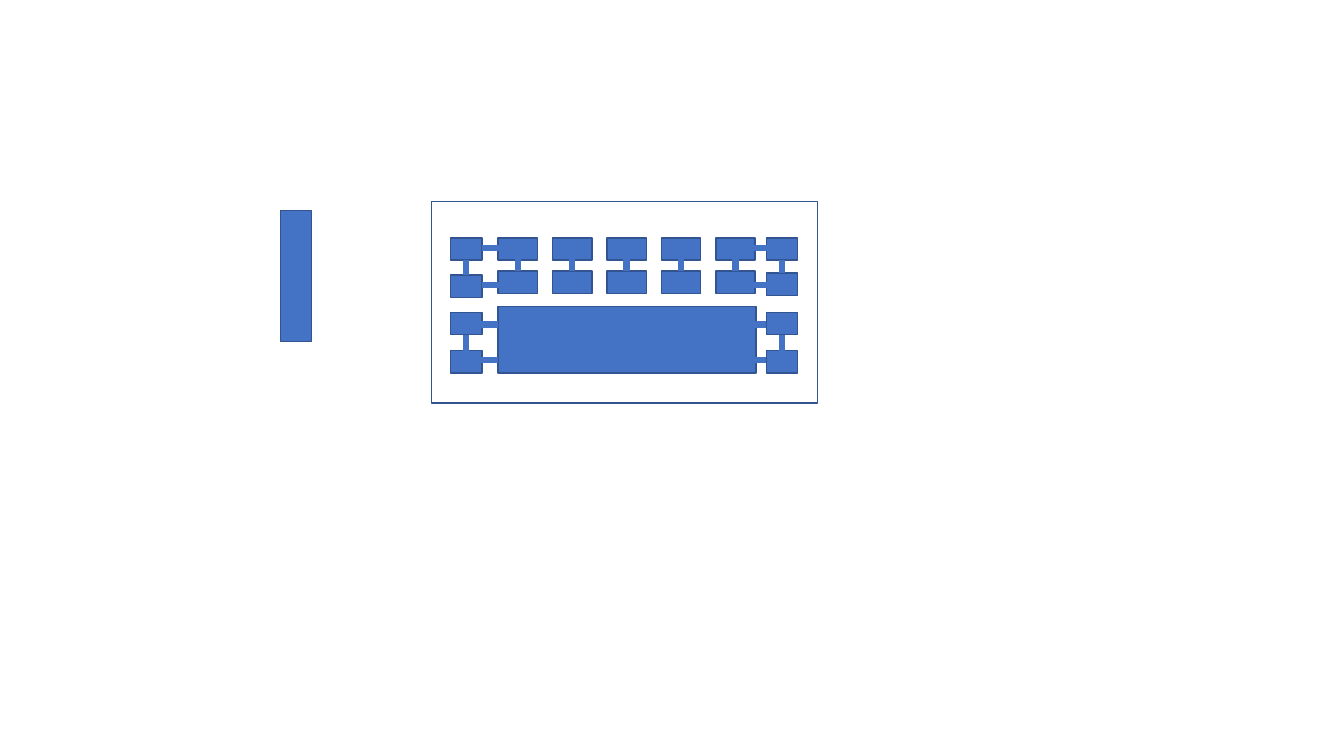
"""Build a slide with a framed floor plan of linked blocks beside a tall bar."""
from lxml.etree import SubElement
from pptx import Presentation
from pptx.dml.color import RGBColor
from pptx.enum.shapes import MSO_CONNECTOR as CONN, MSO_SHAPE as SHAPE
from pptx.oxml.ns import qn
from pptx.util import Inches, Pt

FORMATS = {
    "frame": {"fill": None, "line": "325491", "width": 1},
    "block": {"fill": "4472C4", "line": "325491", "width": 1},
    "link": {"line": "4472C4", "width": 4.5},
}


def paint(s, name):
    for key, value in FORMATS[name].items():
        if key == "width":
            s.line.width = Pt(value)
        elif value is None:
            s.fill.background()
        else:
            fill = s.fill if key == "fill" else s.line.fill
            fill.solid()
            fill.fore_color.rgb = RGBColor.from_string(value)


prs = Presentation()
prs.slide_width, prs.slide_height = Inches(13.33), Inches(7.5)
shapes = prs.slides.add_slide(prs.slide_layouts[6]).shapes

TOP, BOX_H = 2.36, 0.22
SIDE_W, DESK_W = 0.31, 0.39
sides = {4.47: (TOP, 2.73, 3.1, 3.48), 7.6: (TOP, 2.71, 3.1, 3.48)}
desks = [4.94 + 0.54 * col for col in range(5)]

blocks = [(2.78, 2.09, SIDE_W, 1.3), (4.94, 3.04, 2.56, 0.66)]
links = []
for x, tops in sides.items():
    blocks += [(x, y, SIDE_W, BOX_H) for y in tops]
    mid = x + SIDE_W / 2
    links += [(mid, a + BOX_H, mid, b) for a, b in (tops[:2], tops[2:])]
for x in desks:
    blocks += [(x, y, DESK_W, BOX_H) for y in (TOP, 2.69)]
    links.append((x + DESK_W / 2, 2.54, x + DESK_W / 2, 2.69))
for starts, rows in (((4.78, 7.41), (2.46, 2.83)), ((4.74, 7.4), (3.22, 3.57))):
    links += [(x, y, x + 0.2, y) for x in starts for y in rows]

for name, rects in (("frame", [(4.28, 2, 3.83, 2)]), ("block", blocks)):
    for rect in rects:
        s = shapes.add_shape(SHAPE.RECTANGLE, *map(Inches, rect))
        s.shadow.inherit = False
        paint(s, name)

for ends in links:
    s = shapes.add_connector(CONN.STRAIGHT, *map(Inches, ends))
    paint(s, "link")
    SubElement(s._element.spPr, qn("a:effectLst"))

prs.save("out.pptx")
